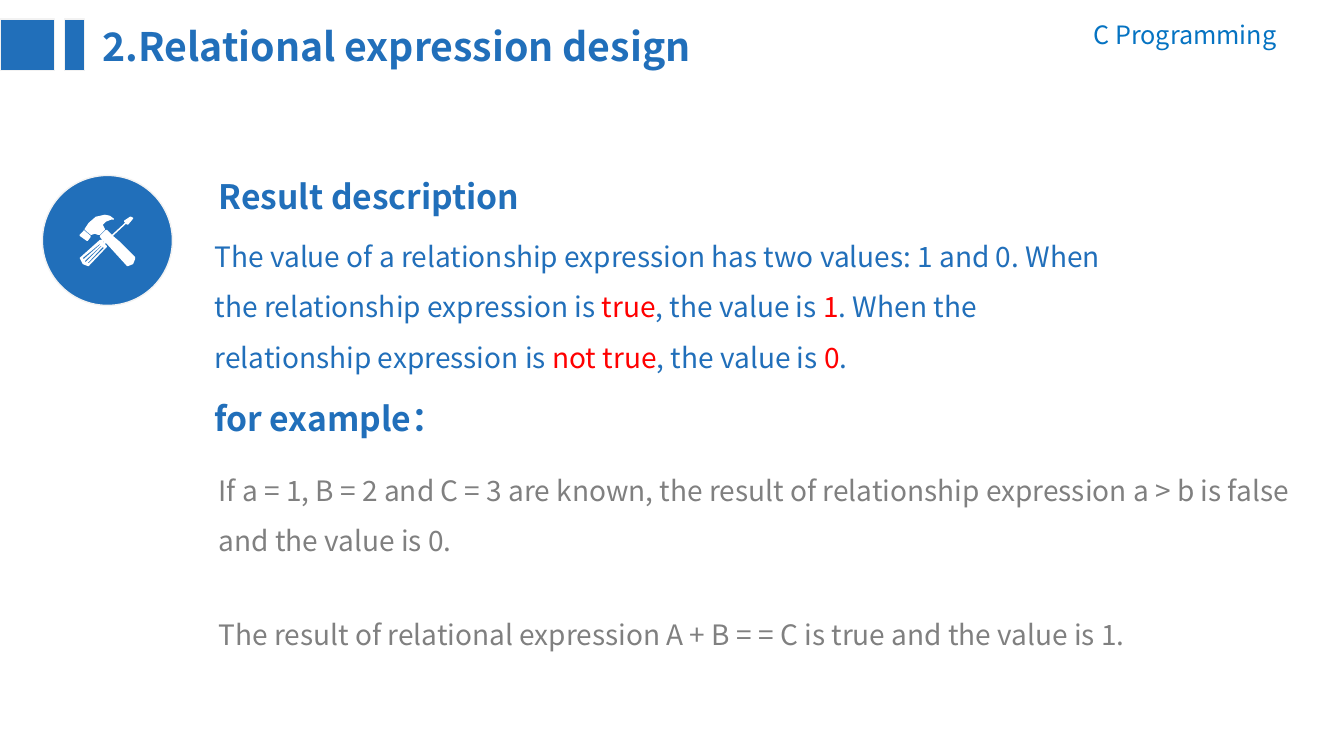
from lxml import etree
from pptx import Presentation
from pptx.dml.color import RGBColor
from pptx.enum.shapes import MSO_SHAPE
from pptx.enum.text import MSO_ANCHOR, MSO_AUTO_SIZE, PP_ALIGN
from pptx.oxml.ns import qn
from pptx.util import Pt

PX = 9144  # one px is a hundredth of an inch
FONT = "Noto Sans CJK SC"
BLUE, HEADER_BLUE, RED, GRAY = "216FBA", "0573C2", "FF0000", "808080"
WHITE, PALE = "FFFFFF", "F2F2F2"
RECTANGLE, OVAL = MSO_SHAPE.RECTANGLE, MSO_SHAPE.OVAL
LEFT, RIGHT = PP_ALIGN.LEFT, PP_ALIGN.RIGHT
TOP, NO_AUTOFIT = MSO_ANCHOR.TOP, MSO_AUTO_SIZE.NONE

HEADING = {"size": Pt(24), "bold": True}
BODY = {"size": Pt(20), "bold": False}

TOOL_OUTLINES = {
    "handle slots": [
        [(23, 32), (8, 48), (9, 48), (24, 33)],
        [(21, 31), (5, 46), (6, 47), (22, 31)],
        [(20, 29), (3, 43), (4, 44), (20, 30)],
    ],
    "hammer face": [
        [(4, 15), (5, 16), (11, 21), (11, 22), (8, 26), (7, 26), (0, 21),
         (0, 20), (4, 16)],
    ],
    "handle and screwdriver": [
        [(50, 2), (51, 2), (53, 3), (53, 4), (48, 10), (47, 10), (46, 9),
         (33, 21), (40, 27), (55, 42), (55, 44), (53, 49), (48, 51), (47, 51),
         (26, 28), (25, 29), (27, 31), (27, 32), (9, 51), (8, 51), (3, 49),
         (0, 43), (1, 42), (20, 25), (22, 25), (24, 28), (24, 27), (20, 22),
         (20, 21), (26, 15), (27, 15), (32, 20), (45, 8), (44, 7), (44, 6)],
    ],
    "hammer head": [
        [(25, 0), (30, 1), (34, 4), (34, 5), (31, 5), (26, 7), (23, 10),
         (25, 14), (25, 15), (20, 20), (18, 20), (15, 19), (12, 20), (11, 20),
         (5, 15), (5, 14), (9, 8), (16, 2)],
    ],
}


def color(hex_value):
    return RGBColor.from_string(hex_value)


def place(shape, box):
    for name, value in zip(("left", "top", "width", "height"), box):
        setattr(shape, name, value * PX)


def write_text(shape, runs, font_format, line_spacing=1.0, alignment=LEFT):
    """Fill a shape with one paragraph of (text, colour) runs."""
    frame = shape.text_frame
    frame.word_wrap = True
    frame.auto_size = NO_AUTOFIT
    frame.vertical_anchor = TOP
    paragraph = frame.paragraphs[0]
    paragraph.alignment = alignment
    paragraph.line_spacing = line_spacing
    for text, hex_value in runs:
        run = paragraph.add_run()
        run.text = text
        for name, value in {"name": FONT, **font_format}.items():
            setattr(run.font, name, value)
        run.font.color.rgb = color(hex_value)
        east_asian = etree.SubElement(run.font._element, qn("a:ea"))
        east_asian.set("typeface", FONT)


def add_text(slide, box, *text_arguments):
    shape = slide.shapes.add_textbox(*(value * PX for value in box))
    write_text(shape, *text_arguments)


def add_filled_shape(shapes, kind, box):
    shape = shapes.add_shape(kind, *(value * PX for value in box))
    shape.shadow.inherit = False
    shape.fill.solid()
    shape.fill.fore_color.rgb = color(BLUE)
    shape.line.color.rgb = color(PALE)
    shape.line.width = Pt(1)


def add_header(slide, left, top):
    """Place the course name, slide title and the two marker bars."""
    add_text(slide, (left + 976, top - 5, 300, 40),
             [("C Programming", HEADER_BLUE)], {"size": Pt(18)}, 1.0, RIGHT)
    title = slide.shapes.title
    place(title, (left + 92, top - 2, 803, 198))
    write_text(title, [("2.Relational expression design", BLUE)],
               {"size": Pt(28), "bold": True})
    for offset, width in ((0, 54), (64, 20)):
        add_filled_shape(slide.shapes, RECTANGLE,
                         (left + offset, top, width, 51))


def add_tool_icon(slide, left, top, diameter):
    group = slide.shapes.add_group_shape()
    add_filled_shape(group.shapes, OVAL, (left, top, diameter, diameter))
    contours = [contour for part in TOOL_OUTLINES.values() for contour in part]
    builder = group.shapes.build_freeform(*contours[0][0], scale=PX)
    for index, contour in enumerate(contours):
        if index:
            builder.move_to(*contour[0])
        builder.add_line_segments(contour[1:], close=True)
    tools = builder.convert_to_shape((left + 37) * PX, (top + 39) * PX)
    tools.shadow.inherit = False
    tools.fill.solid()
    tools.fill.fore_color.rgb = color(WHITE)
    tools.line.fill.background()


def add_description(slide, left, top):
    """Place the rule for the value of a relational expression."""
    add_text(slide, (left + 4, top, 543, 58),
             [("Result description", BLUE)], HEADING, 1.2)
    add_text(slide, (left, top + 54, 908, 161), [
        ("The value of a relationship expression has two values: 1 and 0. "
         "When the relationship expression is ", BLUE),
        ("true", RED),
        (", the value is ", BLUE),
        ("1", RED),
        (". When the relationship expression is ", BLUE),
        ("not true", RED),
        (", the value is ", BLUE),
        ("0", RED),
        (".", BLUE),
    ], BODY, 1.5)


def add_examples(slide, left, top):
    add_text(slide, (left, top, 260, 58),
             [("for example：", BLUE)], HEADING, 1.2)
    add_text(slide, (left + 4, top + 66, 1118, 111), [
        ("If a = 1, B = 2 and C = 3 are known, the result of relationship "
         "expression a > b is false and the value is 0.", GRAY)], BODY, 1.5)
    add_text(slide, (left + 4, top + 209, 992, 60), [
        ("The result of relational expression A + B = = C is true and the "
         "value is 1.", GRAY)], BODY, 1.5)


def main():
    presentation = Presentation()
    presentation.slide_width = 1333 * PX
    presentation.slide_height = 750 * PX
    slide = presentation.slides.add_slide(presentation.slide_layouts[5])
    add_header(slide, 0, 19)
    add_tool_icon(slide, 42, 174, 129)
    add_description(slide, 203, 162)
    add_examples(slide, 203, 382)
    presentation.save("out.pptx")


if __name__ == "__main__":
    main()
